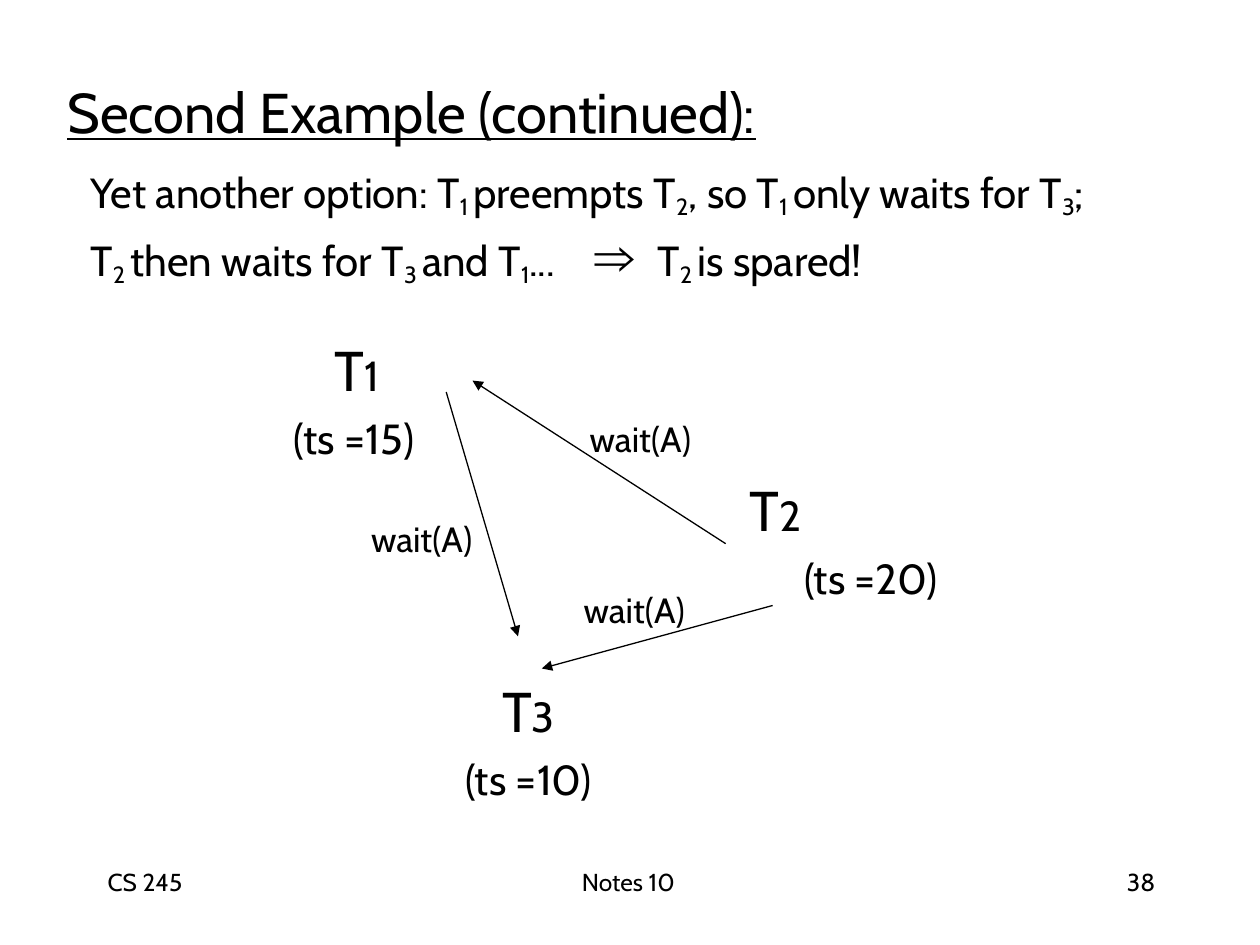
from dataclasses import dataclass
from typing import NamedTuple

from lxml import etree
from pptx import Presentation
from pptx import util as u
from pptx.dml.color import RGBColor
from pptx.enum import shapes, text
from pptx.oxml.ns import qn


@dataclass(frozen=True)
class Theme:
    ink: RGBColor = RGBColor(0, 0, 0)
    font: str = "Cabin"
    symbol_font: str = "Arial"
    heading: float = 32
    body: float = 24
    subscript: float = 23.2
    label: float = 20
    footer: float = 14
    line: float = 0.75


THEME = Theme()


class Span(NamedTuple):
    words: str
    size: float = THEME.body
    font: str = THEME.font
    lowered: bool = False


class Frame(NamedTuple):
    left: float
    top: float
    width: float
    height: float


class Node(NamedTuple):
    number: str
    timestamp: str
    frame: Frame
    indents: tuple[float, float] = (0, 0)
    align: text.PP_ALIGN = text.PP_ALIGN.LEFT


class Wait(NamedTuple):
    start: tuple[float, float]
    end: tuple[float, float]
    label: tuple[float, float]


class Label(NamedTuple):
    words: str
    frame: Frame
    indent: float = 1


NODES = (
    Node("1", "15", Frame(167, 183, 90, 83), (24, 1)),
    Node("2", "20", Frame(427.5, 263, 121, 83), (1, 32)),
    Node("3", "10", Frame(257, 378, 90, 83), align=text.PP_ALIGN.CENTER),
)
WAITS = (
    Wait((441.5, 346), (309.6, 382), (332.5, 335)),
    Wait((255, 224), (296, 363.6), (211, 294.5)),
    Wait((414.7, 310.7), (270, 217.5), (336, 237.6)),
)
FOOTERS = (
    Label("CS 245", Frame(60.5, 494.6, 46, 19)),
    Label("Notes 10", Frame(331.5, 494.6, 57, 19)),
    Label("38", Frame(641, 494.6, 22, 19), 3),
)


def sub(words: str) -> Span:
    return Span(words, THEME.subscript, lowered=True)


EXPLANATION = (
    Span("Yet another option: T"), sub("1 "), Span("preempts T"), sub("2"),
    Span(", so T"), sub("1 "), Span("only waits for T"), sub("3"),
    Span(";\vT"), sub("2 "), Span("then waits for T"), sub("3 "),
    Span("and T"), sub("1"), Span("...\t"),
    Span("⇒\t", THEME.heading, THEME.symbol_font),
    Span("T"), sub("2 "), Span("is spared!"),
)


def style_frame(shape, frame: Frame, top_inset: float) -> None:
    shape.left, shape.top, shape.width, shape.height = map(u.Pt, frame)
    body = shape.text_frame
    body.margin_left = body.margin_right = body.margin_bottom = 0
    body.margin_top = u.Pt(top_inset)
    body.word_wrap = True
    body.auto_size = text.MSO_AUTO_SIZE.NONE
    body.vertical_anchor = text.MSO_ANCHOR.TOP


def add_box(page, frame: Frame, top_inset: float = 1):
    box = page.shapes.add_textbox(0, 0, 0, 0)
    style_frame(box, frame, top_inset)
    return box


def style_font(font, size: float, name: str = THEME.font) -> None:
    font.size, font.name = u.Pt(size), name
    font.color.rgb = THEME.ink


def indent(para, points: float) -> None:
    properties = para._p.get_or_add_pPr()
    properties.set("marL", str(u.Pt(points)))
    properties.set("indent", "0")


def add_tabs(para, *stops: float) -> None:
    tabs = etree.SubElement(para._p.get_or_add_pPr(), qn("a:tabLst"))
    for stop in stops:
        etree.SubElement(tabs, qn("a:tab"), pos=str(u.Pt(stop)), algn="l")


def add_spans(para, spans: tuple[Span, ...]) -> None:
    """Write the spans as runs, turning each vertical tab into a line break."""
    for span in spans:
        for position, piece in enumerate(span.words.split("\v")):
            if position:
                para.add_line_break()
            run = para.add_run()
            run.text = piece
            style_font(run.font, span.size, span.font)
            if span.lowered:
                run.font._element.set("baseline", "-18000")


def add_label(page, label: Label, size: float) -> None:
    box = add_box(page, label.frame)
    box.text_frame.text = label.words
    para = box.text_frame.paragraphs[0]
    indent(para, label.indent)
    style_font(para.runs[0].font, size)


def add_node(page, node: Node) -> None:
    body = add_box(page, node.frame, 8.7).text_frame
    name, stamp = body.paragraphs[0], body.add_paragraph()
    add_spans(name, (Span("T", THEME.heading), Span(node.number)))
    add_spans(stamp, (Span(f"(ts ={node.timestamp})"),))
    stamp.space_before = u.Pt(5.7)
    for para, points in zip((name, stamp), node.indents):
        indent(para, points)
        para.alignment = node.align


def add_wait(page, wait: Wait) -> None:
    arrow = page.shapes.add_connector(
        shapes.MSO_CONNECTOR.STRAIGHT, *map(u.Pt, wait.start + wait.end))
    arrow.line.width = u.Pt(THEME.line)
    arrow.line.color.rgb = THEME.ink
    etree.SubElement(arrow.line._get_or_add_ln(), qn("a:tailEnd"),
                     type="triangle", w="med", len="med")
    etree.SubElement(arrow._element.spPr, qn("a:effectLst"))
    add_label(page, Label("wait(A)", Frame(*wait.label, 65.5, 26)), THEME.label)


def add_title(page) -> None:
    title = page.shapes.title
    style_frame(title, Frame(37.5, 43.2, 417.6, 40.3), 1)
    title.text_frame.text = "Second Example (continued):"
    para = title.text_frame.paragraphs[0]
    para.alignment = text.PP_ALIGN.LEFT
    indent(para, 1)
    style_font(para.runs[0].font, THEME.heading)
    para.runs[0].font.underline = True


def add_explanation(page) -> None:
    box = add_box(page, Frame(46.8, 93.6, 597.6, 69), 1.4)
    para = box.text_frame.paragraphs[0]
    indent(para, 5)
    add_tabs(para, 371, 426)
    add_spans(para, EXPLANATION)


def main() -> None:
    deck = Presentation()
    deck.slide_width, deck.slide_height = u.Pt(720), u.Pt(540)
    page = deck.slides.add_slide(deck.slide_layouts[5])
    add_title(page)
    add_explanation(page)
    for node in NODES:
        add_node(page, node)
    for wait in WAITS:
        add_wait(page, wait)
    for footer in FOOTERS:
        add_label(page, footer, THEME.footer)
    deck.save("out.pptx")


if __name__ == "__main__":
    main()
